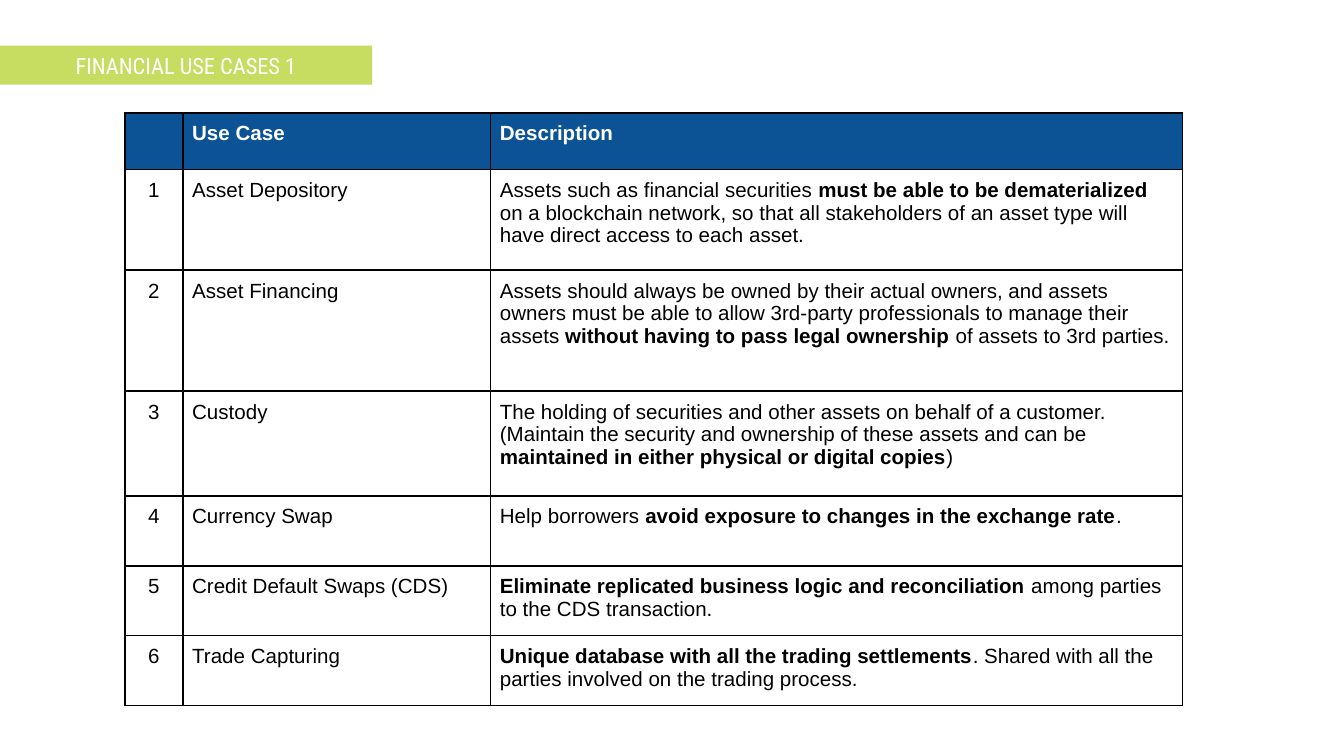
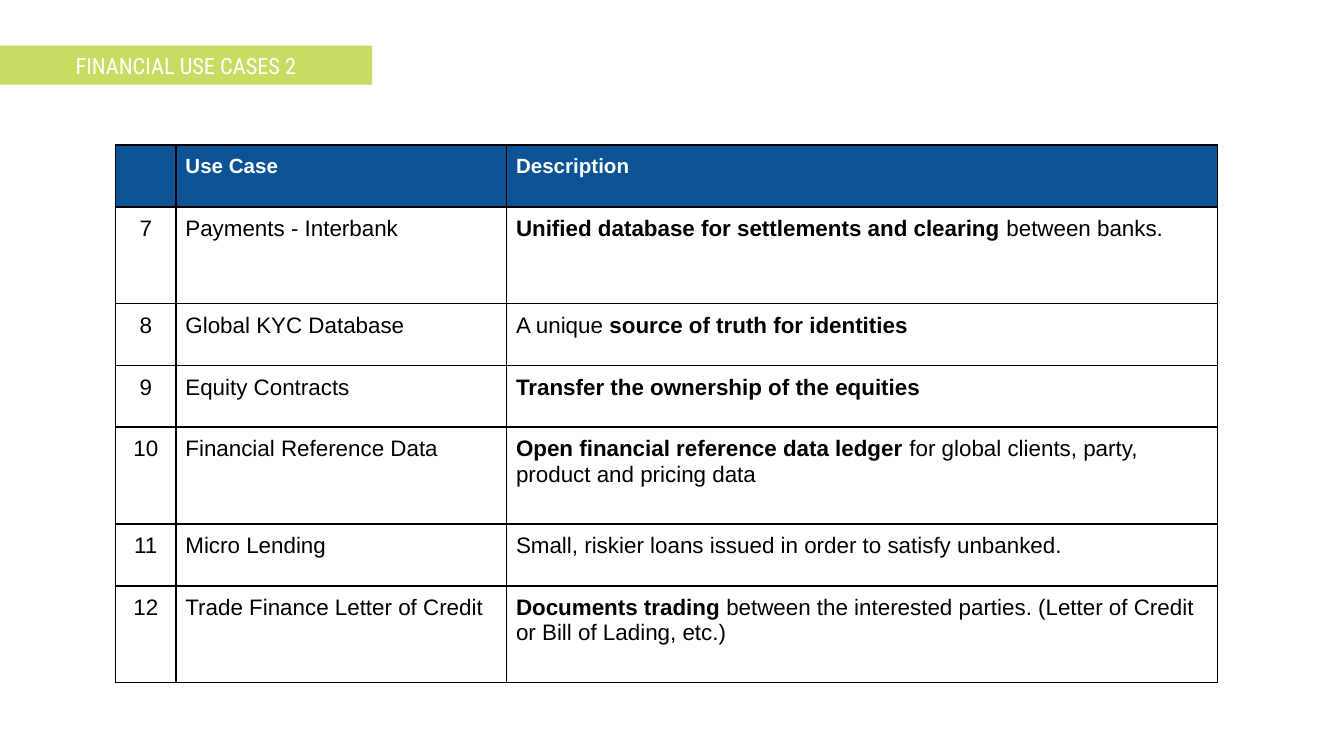
from lxml.etree import SubElement
from pptx import Presentation
from pptx.dml.color import RGBColor
from pptx.enum.text import MSO_ANCHOR, MSO_AUTO_SIZE, PP_ALIGN
from pptx.oxml.ns import qn
from pptx.util import Inches, Pt

LIME = RGBColor(0xC6, 0xDD, 0x62)
BLUE = RGBColor(0x0B, 0x53, 0x94)
WHITE = RGBColor(0xFF, 0xFF, 0xFF)
BLACK = RGBColor(0x00, 0x00, 0x00)

TITLE_ONLY = 5
BAND = (0, 0.34, 2.77, 0.29)
CELL_INSET = Inches(0.07)
HEADINGS = ("", "Use Case", "Description")

USE_CASES_1 = [
    ("Asset Depository",
     "Assets such as financial securities **must be able to be dematerialized** on a blockchain "
     "network, so that all stakeholders of an asset type will have direct access to each asset."),
    ("Asset Financing",
     "Assets should always be owned by their actual owners, and assets owners must be able to "
     "allow 3rd-party professionals to manage their assets **without having to pass legal "
     "ownership** of assets to 3rd parties."),
    ("Custody",
     "The holding of securities and other assets on behalf of a customer. (Maintain the security "
     "and ownership of these assets and can be **maintained in either physical or digital "
     "copies**)"),
    ("Currency Swap",
     "Help borrowers **avoid exposure to changes in the exchange rate**."),
    ("Credit Default Swaps (CDS)",
     "**Eliminate replicated business logic and reconciliation** among parties to the CDS "
     "transaction."),
    ("Trade Capturing",
     "**Unique database with all the trading settlements**. Shared with all the parties involved "
     "on the trading process."),
]
USE_CASES_2 = [
    ("Payments - Interbank",
     "**Unified database for settlements and clearing** between banks."),
    ("Global KYC Database", "A unique **source of truth for identities**"),
    ("Equity Contracts", "**Transfer the ownership of the equities**"),
    ("Financial Reference Data",
     "**Open financial reference data ledger** for global clients, party, product and pricing "
     "data"),
    ("Micro Lending", "Small, riskier loans issued in order to satisfy unbanked."),
    ("Trade Finance Letter of Credit",
     "**Documents trading** between the interested parties. (Letter of Credit or Bill of Lading, "
     "etc.)"),
]


def write(text_frame, text, font="Arial", size=11, color=BLACK, bold=False, align=PP_ALIGN.LEFT):
    paragraph = text_frame.paragraphs[0]
    paragraph.alignment = align
    for index, part in enumerate(text.split("**")):
        if part:
            run = paragraph.add_run()
            run.text = part
            run.font.name = font
            run.font.size = Pt(size)
            run.font.color.rgb = color
            run.font.bold = bold or index % 2 == 1
    if not text:
        end_format = SubElement(paragraph._p, qn("a:endParaRPr"), sz="1800")
        SubElement(end_format, qn("a:latin"), typeface=font)


def add_title_band(slide, box, text):
    band = slide.shapes.title
    band.left, band.top, band.width, band.height = map(Inches, box)
    band.fill.solid()
    band.fill.fore_color.rgb = LIME
    frame = band.text_frame
    frame.auto_size = MSO_AUTO_SIZE.NONE
    frame.word_wrap = True
    frame.vertical_anchor = MSO_ANCHOR.MIDDLE
    frame.margin_left = frame.margin_right = Inches(0.1)
    frame.margin_top = frame.margin_bottom = Inches(0.1)
    write(frame, text, font="Roboto Condensed", size=12, color=WHITE, align=PP_ALIGN.CENTER)


def add_borders(cell, color=BLACK, width=1):
    properties = cell._tc.get_or_add_tcPr()
    for side in ("a:lnL", "a:lnR", "a:lnT", "a:lnB"):
        border = SubElement(properties, qn(side), w=str(Pt(width)))
        fill = SubElement(border, qn("a:solidFill"))
        SubElement(fill, qn("a:srgbClr"), val=str(color))


def format_cell(cell, text, fill=None, **text_format):
    cell.margin_left = cell.margin_right = CELL_INSET
    cell.margin_top = cell.margin_bottom = CELL_INSET
    add_borders(cell)
    if fill is None:
        cell.fill.background()
    else:
        cell.fill.solid()
        cell.fill.fore_color.rgb = fill
    write(cell.text_frame, text, **text_format)


def add_use_case_table(slide, origin, widths, heights, use_cases, first_number, size):
    box = (*origin, sum(widths), sum(heights))
    table = slide.shapes.add_table(len(heights), len(widths), *map(Inches, box)).table
    table.horz_banding = False
    for column, width in zip(table.columns, widths):
        column.width = Inches(width)
    for row, height in zip(table.rows, heights):
        row.height = Inches(height)

    for column, heading in enumerate(HEADINGS):
        format_cell(table.cell(0, column), heading, fill=BLUE, color=WHITE, bold=True)
    for row, (use_case, description) in enumerate(use_cases, start=1):
        number = str(first_number + row - 1)
        format_cell(table.cell(row, 0), number, size=size, align=PP_ALIGN.CENTER)
        format_cell(table.cell(row, 1), use_case, size=size)
        format_cell(table.cell(row, 2), description, size=size)


def add_use_case_slide(presentation, title, **table_parts):
    slide = presentation.slides.add_slide(presentation.slide_layouts[TITLE_ONLY])
    add_title_band(slide, BAND, title)
    add_use_case_table(slide, **table_parts)


def main():
    presentation = Presentation()
    presentation.slide_width = Inches(10)
    presentation.slide_height = Inches(10) * 9 // 16
    add_use_case_slide(
        presentation, "FINANCIAL USE CASES 1",
        origin=(0.93, 0.84), widths=(0.43, 2.29, 5.15),
        heights=(0.33, 0.75, 0.9, 0.78, 0.52, 0.52, 0.52),
        use_cases=USE_CASES_1, first_number=1, size=11)
    add_use_case_slide(
        presentation, "FINANCIAL USE CASES 2",
        origin=(0.86, 1.08), widths=(0.45, 2.46, 5.29),
        heights=(0.46, 0.72, 0.46, 0.46, 0.72, 0.46, 0.72),
        use_cases=USE_CASES_2, first_number=len(USE_CASES_1) + 1, size=12)
    presentation.save("out.pptx")


if __name__ == "__main__":
    main()
